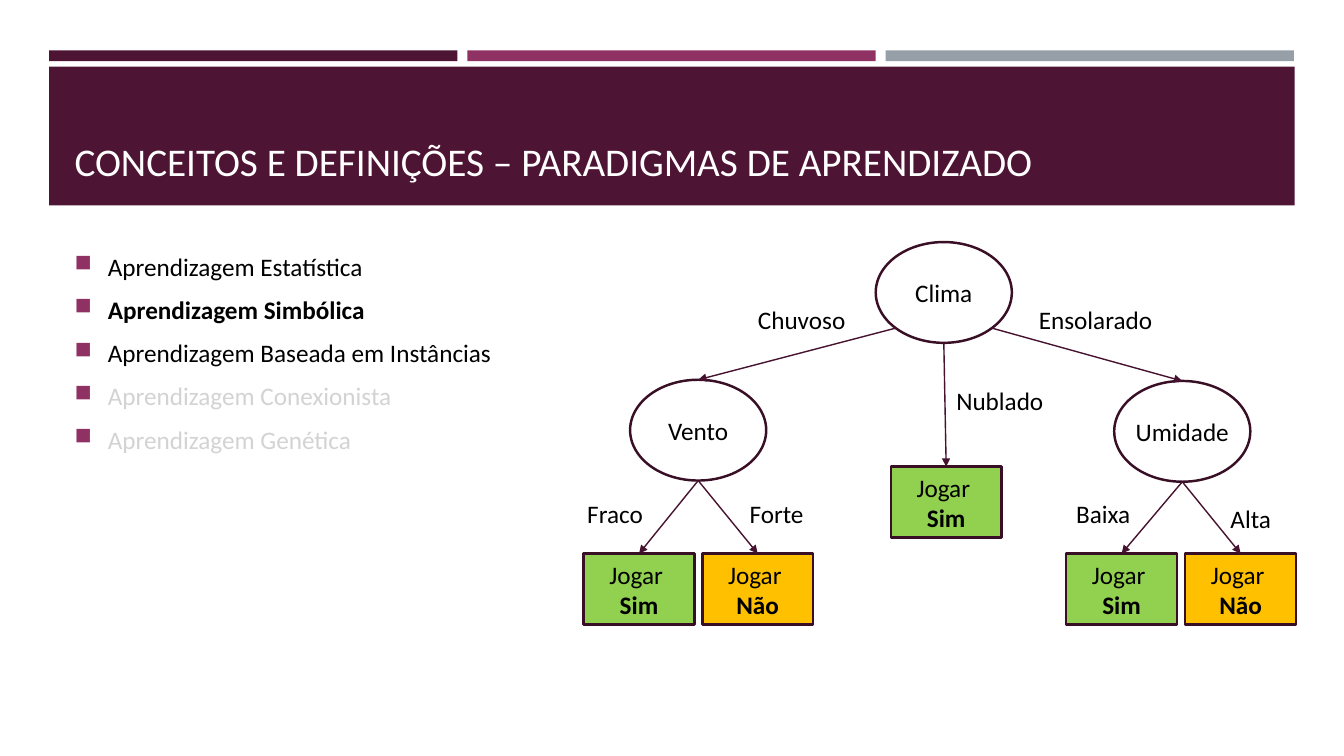
from dataclasses import dataclass

from lxml import etree
from pptx import Presentation
from pptx.dml.color import RGBColor
from pptx.enum.shapes import MSO_CONNECTOR, MSO_SHAPE
from pptx.enum.text import MSO_ANCHOR, PP_ALIGN
from pptx.oxml.ns import qn
from pptx.util import Cm, Pt

RECT, OVAL = MSO_SHAPE.RECTANGLE, MSO_SHAPE.OVAL
STRAIGHT = MSO_CONNECTOR.STRAIGHT
MIDDLE, BOTTOM = MSO_ANCHOR.MIDDLE, MSO_ANCHOR.BOTTOM
CENTER = PP_ALIGN.CENTER


@dataclass(frozen=True)
class Theme:
    font: str = "Calibri"
    title_size: float = 28
    text_size: float = 18
    plum: str = "4D1434"
    magenta: str = "903163"
    gray: str = "969FA7"
    white: str = "FFFFFF"
    black: str = "000000"
    faded: str = "D3D3D3"
    outline: str = "390F26"
    arrow: str = "45122F"
    yes: str = "92D050"
    no: str = "FFC000"


theme = Theme()


def add_span(para, text, color=theme.black, size=theme.text_size, bold=False):
    span = para.add_run()
    span.text = text
    span.font.name = theme.font
    span.font.size = Pt(size)
    span.font.bold = bold
    span.font.color.rgb = RGBColor.from_string(color)


def add_block(kind, left, top, width, height, fill=None, line=None):
    block = page.shapes.add_shape(kind, Cm(left), Cm(top), Cm(width), Cm(height))
    block.shadow.inherit = False
    if fill:
        block.fill.solid()
        block.fill.fore_color.rgb = RGBColor.from_string(fill)
    else:
        block.fill.background()
    if line:
        block.line.color.rgb = RGBColor.from_string(line)
        block.line.width = Pt(1.75)
    else:
        block.line.fill.background()
    return block


deck = Presentation()
deck.slide_width, deck.slide_height = Cm(33.87), Cm(19.05)
page = deck.slides.add_slide(deck.slide_layouts[6])

# Header bars and band
for index, color in enumerate((theme.plum, theme.magenta, theme.gray)):
    add_block(RECT, 1.24 + index * 10.54, 1.27, 10.29, 0.27, color)
add_block(RECT, 1.24, 1.68, 31.39, 3.5, theme.plum)

# Title
title = page.shapes.add_textbox(Cm(1.63), Cm(2.03), Cm(30.63), Cm(2.74))
title.text_frame.word_wrap = True
title.text_frame.vertical_anchor = BOTTOM
add_span(title.text_frame.paragraphs[0],
         "CONCEITOS E DEFINIÇÕES – PARADIGMAS DE APRENDIZADO",
         theme.white, theme.title_size)

# Paradigm list
paradigms = [
    ("Aprendizagem Estatística", theme.black, False),
    ("Aprendizagem Simbólica", theme.black, True),
    ("Aprendizagem Baseada em Instâncias", theme.black, False),
    ("Aprendizagem Conexionista", theme.faded, False),
    ("Aprendizagem Genética", theme.faded, False),
]
body = page.shapes.add_textbox(Cm(1.63), Cm(6.2), Cm(15.06), Cm(10.08))
body.text_frame.word_wrap = True
for index, (text, color, bold) in enumerate(paradigms):
    para = body.text_frame.add_paragraph() if index else body.text_frame.paragraphs[0]
    if index:
        para.space_before = Pt(3.3)
    para.space_after = Pt(6)
    props = para._p.get_or_add_pPr()
    props.set("marL", str(Cm(0.84)))
    props.set("indent", str(-Cm(0.84)))
    bullet_color = etree.SubElement(props, qn("a:buClr"))
    etree.SubElement(bullet_color, qn("a:srgbClr")).set("val", theme.magenta)
    etree.SubElement(props, qn("a:buSzPct")).set("val", "92000")
    etree.SubElement(props, qn("a:buChar")).set("char", "■")
    add_span(para, text, color, bold=bold)

# Tree nodes: attributes are ovals, decisions are boxes
OVAL_W, OVAL_H = 3.43, 2.54
LEAF_W, LEAF_H = 2.79, 1.79
attributes = {"Clima": (22.07, 6.1), "Vento": (15.88, 9.57), "Umidade": (28.08, 9.6)}
leaves = [
    ("Clima", "Sim", 22.45, 11.76),
    ("Vento", "Sim", 14.71, 13.95),
    ("Vento", "Não", 17.7, 13.95),
    ("Umidade", "Sim", 26.87, 13.95),
    ("Umidade", "Não", 29.87, 13.95),
]
nodes = [(add_block(OVAL, left, top, OVAL_W, OVAL_H, line=theme.outline), [(name, False)])
         for name, (left, top) in attributes.items()]
for parent, answer, left, top in leaves:
    fill = theme.yes if answer == "Sim" else theme.no
    leaf = add_block(RECT, left, top, LEAF_W, LEAF_H, fill, theme.outline)
    nodes.append((leaf, [("Jogar ", False), (answer, True)]))
for node, lines in nodes:
    frame = node.text_frame
    frame.word_wrap = False
    frame.vertical_anchor = MIDDLE
    frame.margin_left = frame.margin_right = frame.margin_top = frame.margin_bottom = 0
    for index, (text, bold) in enumerate(lines):
        para = frame.add_paragraph() if index else frame.paragraphs[0]
        para.alignment = CENTER
        add_span(para, text, bold=bold)

# Branches: the root leaves its oval at 45 degrees, the others at the bottom
DIAGONAL = 0.5 ** 0.5
root_x, root_y = attributes["Clima"]
branches = []
for name, side in (("Vento", -1), ("Umidade", 1)):
    left, top = attributes[name]
    branches.append((root_x + OVAL_W / 2 * (1 + side * DIAGONAL),
                     root_y + OVAL_H / 2 * (1 + DIAGONAL),
                     left + OVAL_W / 2, top))
for parent, answer, left, top in leaves:
    parent_x, parent_y = attributes[parent]
    branches.append((parent_x + OVAL_W / 2, parent_y + OVAL_H, left + LEAF_W / 2, top))
for ends in branches:
    branch = page.shapes.add_connector(STRAIGHT, *(Cm(value) for value in ends))
    branch.line.color.rgb = RGBColor.from_string(theme.arrow)
    branch.line.width = Pt(1)
    etree.SubElement(branch.line._get_or_add_ln(), qn("a:tailEnd")).set("type", "triangle")
    etree.SubElement(branch._element.spPr, qn("a:effectLst"))

# Branch labels
labels = [
    ("Nublado", 23.85, 9.58, 2.74),
    ("Ensolarado", 25.93, 7.54, 3.38),
    ("Chuvoso", 18.85, 7.54, 2.82),
    ("Fraco", 14.55, 12.42, 1.98),
    ("Forte", 18.64, 12.42, 1.96),
    ("Baixa", 26.87, 12.42, 1.88),
    ("Alta", 30.76, 12.55, 1.57),
]
for text, left, top, width in labels:
    label = page.shapes.add_textbox(Cm(left), Cm(top), Cm(width), Cm(1.02))
    label.text_frame.word_wrap = False
    add_span(label.text_frame.paragraphs[0], text)

deck.save("out.pptx")
